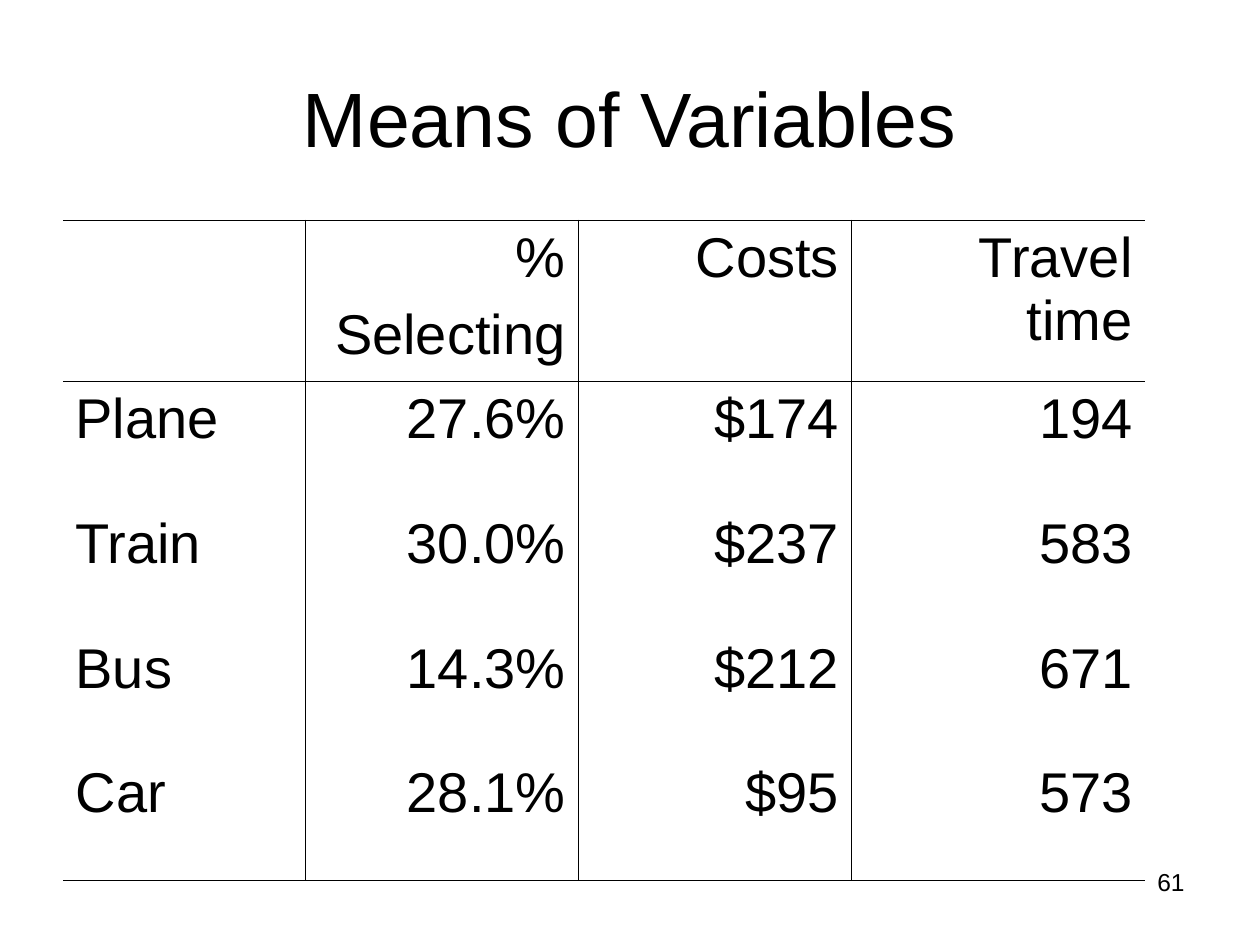
from pptx import Presentation
from pptx.dml.color import RGBColor
from pptx.enum.text import MSO_ANCHOR, PP_ALIGN
from pptx.oxml.ns import qn
from pptx.util import Inches, Pt
from lxml.etree import Element, SubElement

BLACK = RGBColor(0, 0, 0)
FONT = "Arial"
THIN, THICK = 0.45, 1.08

TITLE = "Means of Variables"
PAGE_NUMBER = "61"
# The second column is a narrow empty spacer after the travel modes.
COLUMN_WIDTHS = [1.67, 0.25, 2.17, 2.17, 2.33]
ROW_HEIGHTS = [1.28] + [0.99] * 4
ROWS = [
    ["", "", "%\nSelecting", "Costs", "Travel time"],
    ["Plane", "", "27.6%", "$174", "194"],
    ["Train", "", "30.0%", "$237", "583"],
    ["Bus", "", "14.3%", "$212", "671"],
    ["Car", "", "28.1%", "$95", "573"],
]


def write(tf, text, size, align):
    tf.word_wrap = True
    for i, line in enumerate(text.split("\n")):
        p = tf.paragraphs[0] if i == 0 else tf.add_paragraph()
        p.alignment = align
        if i:
            p.space_before = Pt(8)
        r = p.add_run()
        r.text = line
        r.font.size = Pt(size)
        r.font.name = FONT
        r.font.color.rgb = BLACK


def add_text(slide, box, text, size, align, anchor):
    tf = slide.shapes.add_textbox(*map(Inches, box)).text_frame
    tf.vertical_anchor = anchor
    write(tf, text, size, align)


def set_borders(cell, left, right, top, bottom):
    """Give each side a width in points, or 0 for no line."""
    tc_pr = cell._tc.get_or_add_tcPr()
    sides = zip(("lnL", "lnR", "lnT", "lnB"), (left, right, top, bottom))
    for i, (tag, width) in enumerate(sides):
        ln = Element(qn(f"a:{tag}"), w=str(int(Pt(width))))
        if width:
            fill = SubElement(ln, qn("a:solidFill"))
            SubElement(fill, qn("a:srgbClr"), val=str(BLACK))
        else:
            SubElement(ln, qn("a:noFill"))
        tc_pr.insert(i, ln)


def add_means_table(slide):
    box = (0.5, 1.75, sum(COLUMN_WIDTHS), sum(ROW_HEIGHTS))
    n_rows, n_cols = len(ROWS), len(COLUMN_WIDTHS)
    table = slide.shapes.add_table(n_rows, n_cols, *map(Inches, box)).table
    table.first_row = table.horz_banding = False
    for column, width in zip(table.columns, COLUMN_WIDTHS):
        column.width = Inches(width)
    for row, height in zip(table.rows, ROW_HEIGHTS):
        row.height = Inches(height)

    row_lines = [THICK, THIN] + [0] * (n_rows - 2) + [THICK]
    column_lines = [0, 0] + [THIN] * (n_cols - 2) + [0]
    for i, values in enumerate(ROWS):
        for j, text in enumerate(values):
            cell = table.cell(i, j)
            cell.fill.background()
            set_borders(cell, *column_lines[j:j + 2], *row_lines[i:i + 2])
            if text:
                align = PP_ALIGN.RIGHT if j else PP_ALIGN.LEFT
                write(cell.text_frame, text, 32, align)


def main():
    prs = Presentation()
    prs.slide_width, prs.slide_height = Inches(10), Inches(7.5)
    slide = prs.slides.add_slide(prs.slide_layouts[6])
    add_text(slide, (7.17, 6.83, 2.33, 0.52), PAGE_NUMBER, 14,
             PP_ALIGN.RIGHT, MSO_ANCHOR.TOP)
    add_text(slide, (0.5, 0.3, 9, 1.25), TITLE, 44,
             PP_ALIGN.CENTER, MSO_ANCHOR.MIDDLE)
    add_means_table(slide)
    prs.save("out.pptx")


if __name__ == "__main__":
    main()
